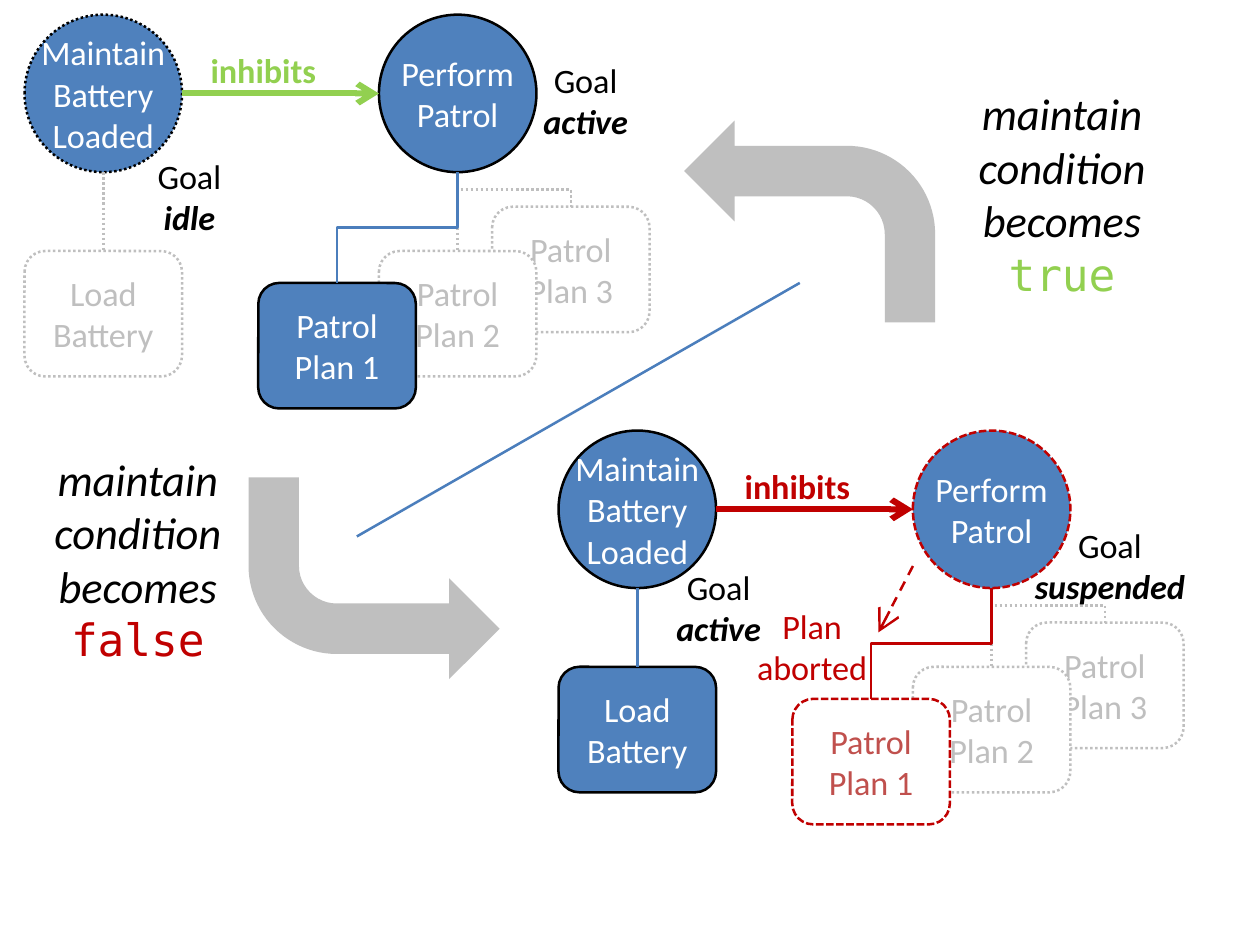
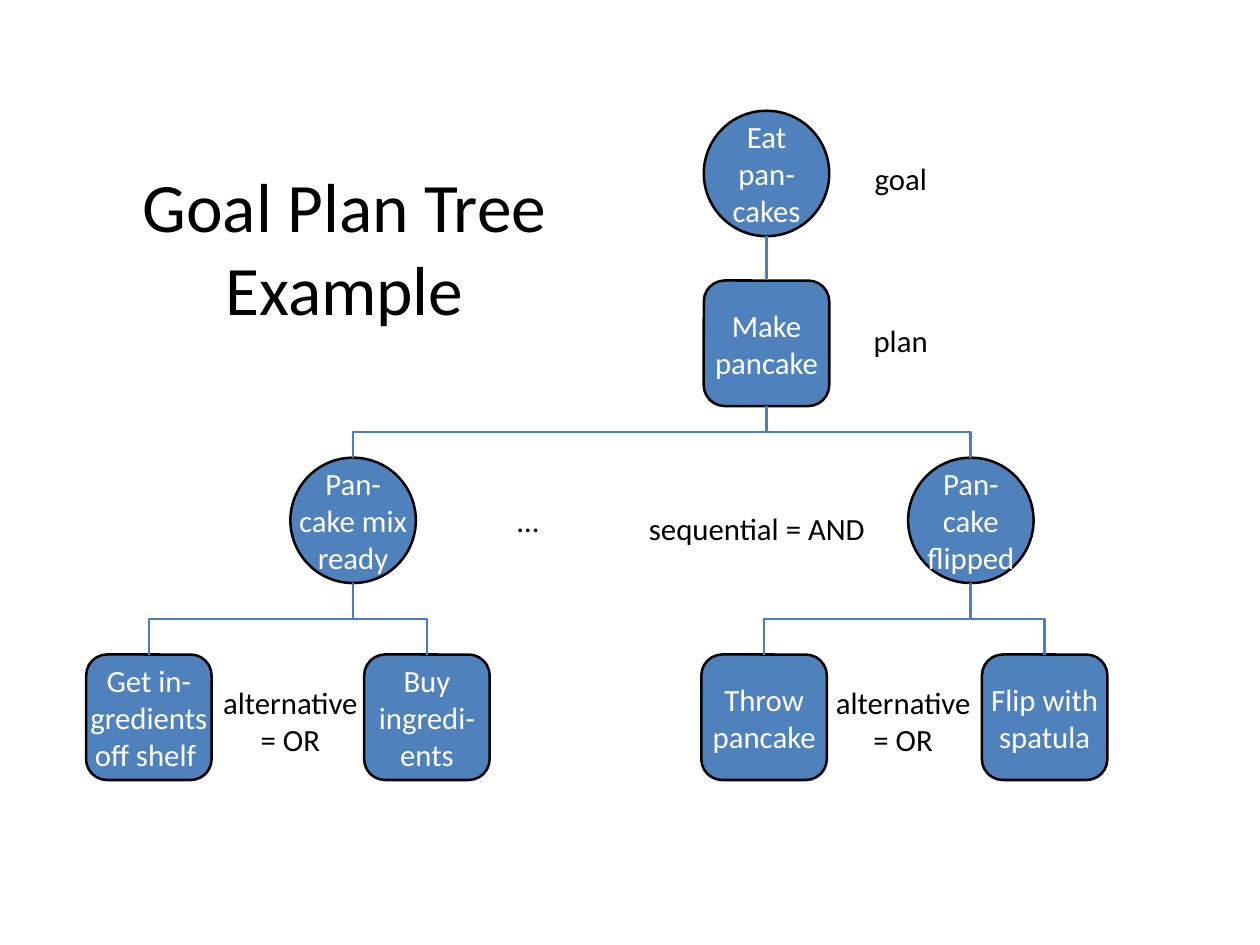
from collections import namedtuple

from lxml.etree import SubElement
from pptx import Presentation
from pptx.dml.color import RGBColor
from pptx.enum.dml import MSO_LINE
from pptx.enum.shapes import MSO_CONNECTOR, MSO_SHAPE
from pptx.enum.text import MSO_ANCHOR, PP_ALIGN
from pptx.oxml.ns import qn
from pptx.util import Emu, Inches, Pt

BLUE = RGBColor(0x4F, 0x81, 0xBD)
LINK_BLUE = RGBColor(0x4B, 0x7E, 0xBC)
RED = RGBColor(0xC0, 0x00, 0x00)
SOFT_RED = RGBColor(0xC0, 0x50, 0x4D)
GREEN = RGBColor(0x92, 0xD0, 0x50)
GREY = RGBColor(0xBF, 0xBF, 0xBF)
BLACK = RGBColor(0x00, 0x00, 0x00)
WHITE = RGBColor(0xFF, 0xFF, 0xFF)

FONT = "Calibri"
MONO = "DejaVu Sans Mono"
TOP, LEFT, BOTTOM, RIGHT = range(4)

Look = namedtuple("Look", "fill line dash text")
ACTIVE = Look(BLUE, BLACK, None, WHITE)
IDLE = Look(BLUE, BLACK, MSO_LINE.ROUND_DOT, WHITE)
SUSPENDED = Look(BLUE, RED, MSO_LINE.SQUARE_DOT, WHITE)
ABORTED = Look(WHITE, RED, MSO_LINE.SQUARE_DOT, SOFT_RED)
GHOST = Look(WHITE, GREY, MSO_LINE.ROUND_DOT, GREY)


class Deck:
    """Holds the style and the current slide, and draws each kind of element."""

    def __init__(self, width, height):
        self.prs = Presentation()
        self.prs.slide_width = Inches(width)
        self.prs.slide_height = Inches(height)
        self.size = 10

    def new_slide(self, size):
        self.slide = self.prs.slides.add_slide(self.prs.slide_layouts[6])
        self.shapes = self.slide.shapes
        self.size = size

    def add_runs(self, tf, runs, size, wrap, anchor, pad=False):
        tf.word_wrap = wrap
        tf.vertical_anchor = anchor
        if not pad:
            tf.margin_left = tf.margin_right = tf.margin_top = tf.margin_bottom = 0
        p = tf.paragraphs[0]
        p.alignment = PP_ALIGN.CENTER
        for text, color, style in runs:
            for i, line in enumerate(text.split("\n")):
                if i:
                    p.add_line_break()
                if not line:
                    continue
                r = p.add_run()
                r.text = line
                r.font.size = Pt(size)
                r.font.name = MONO if "m" in style else FONT
                r.font.bold = "b" in style
                r.font.italic = "i" in style
                r.font.color.rgb = color

    def node(self, kind, x, y, w, h, text, look=ACTIVE):
        sp = self.shapes.add_shape(kind, Inches(x), Inches(y), Inches(w), Inches(h))
        sp.shadow.inherit = False
        sp.fill.solid()
        sp.fill.fore_color.rgb = look.fill
        sp.line.color.rgb = look.line
        sp.line.width = Pt(0.75)
        if look.dash:
            sp.line.dash_style = look.dash
        self.add_runs(sp.text_frame, [(text, look.text, "")], self.size,
                      "\n" not in text, MSO_ANCHOR.MIDDLE)
        return sp

    def text(self, x, y, w, h, *runs, size=None, wrap=False,
             anchor=MSO_ANCHOR.TOP, pad=False):
        tb = self.shapes.add_textbox(Inches(x), Inches(y), Inches(w), Inches(h))
        self.add_runs(tb.text_frame, runs, size or self.size, wrap, anchor, pad)

    def title(self, x, y, w, h, *runs, size, pad=False):
        self.text(x, y, w, h, *runs, size=size, wrap=True,
                  anchor=MSO_ANCHOR.MIDDLE, pad=pad)

    def state(self, x, y, w, word):
        self.text(x, y, w, 0.34, ("Goal\n", BLACK, ""), (word, BLACK, "bi"))

    def turn_arrow(self, x, y, rotation=0):
        sp = self.shapes.add_shape(MSO_SHAPE.BENT_ARROW, Inches(x), Inches(y),
                                   Inches(1.02), Inches(0.82))
        sp.shadow.inherit = False
        sp.fill.solid()
        sp.fill.fore_color.rgb = GREY
        sp.line.fill.background()
        sp.rotation = rotation
        sp.element.spPr.xfrm.set("flipV", "1")

    def stroke(self, cn, color, width=0.75, dash=None, arrow=False):
        cn.line.color.rgb = color
        cn.line.width = Pt(width)
        if dash:
            cn.line.dash_style = dash
        if arrow:
            SubElement(cn.get_or_add_ln(), qn("a:tailEnd")).set("type", "arrow")
        SubElement(cn.element.spPr, qn("a:effectLst"))

    def line(self, x1, y1, x2, y2, color, **style):
        cn = self.shapes.add_connector(MSO_CONNECTOR.STRAIGHT, Inches(x1), Inches(y1),
                                       Inches(x2), Inches(y2))
        self.stroke(cn, color, **style)

    def link(self, a, b, color=LINK_BLUE, sides=(BOTTOM, TOP), **style):
        offset = b.left + b.width // 2 - a.left - a.width // 2
        bent = sides == (BOTTOM, TOP) and abs(offset) > Inches(0.02)
        kind = MSO_CONNECTOR.ELBOW if bent else MSO_CONNECTOR.STRAIGHT
        cn = self.shapes.add_connector(kind, 0, 0, 0, 0)
        cn.begin_connect(a, sides[0])
        cn.end_connect(b, sides[1])
        ends = cn.element.nvCxnSpPr.cNvCxnSpPr
        for glue, sp, side in ((ends.stCxn, a, sides[0]), (ends.endCxn, b, sides[1])):
            if sp.auto_shape_type == MSO_SHAPE.OVAL:
                glue.idx = side * 2
        if bent:
            self.turn_down(cn)
        self.stroke(cn, color, **style)

    def turn_down(self, cn):
        x1, y1, x2, y2 = cn.begin_x, cn.begin_y, cn.end_x, cn.end_y
        w, h = abs(y2 - y1), abs(x2 - x1)
        cn.left, cn.top = Emu((x1 + x2 - w) // 2), Emu((y1 + y2 - h) // 2)
        cn.width, cn.height = Emu(w), Emu(h)
        xfrm = cn.element.spPr.xfrm
        xfrm.flipH = x2 > x1
        xfrm.flipV = False
        xfrm.rot = 270 if x2 > x1 else 90


def goal_scene(deck, x, y, maintain, perform, load, plan, inhibit, plan_link):
    def goal(dx, text, look):
        return deck.node(MSO_SHAPE.OVAL, x + dx, y, 0.64, 0.64, text, look)

    def box(dx, dy, text, look):
        return deck.node(MSO_SHAPE.ROUNDED_RECTANGLE, x + dx, y + dy, 0.64, 0.51, text, look)

    plan_3 = box(1.9, 0.78, "Patrol\nPlan 3", GHOST)
    plan_2 = box(1.44, 0.96, "Patrol\nPlan 2", GHOST)
    load_box = box(0, 0.96, "Load\nBattery", load)
    maintain_goal = goal(0, "Maintain\nBattery\nLoaded", maintain)
    perform_goal = goal(1.44, "Perform\nPatrol", perform)
    for other in (plan_2, plan_3):
        deck.link(perform_goal, other, GREY, dash=GHOST.dash)
    deck.link(maintain_goal, load_box, GREY if load is GHOST else LINK_BLUE, dash=load.dash)
    plan_1 = box(0.95, 1.09, "Patrol\nPlan 1", plan)
    deck.link(perform_goal, plan_1, plan_link)
    deck.link(maintain_goal, perform_goal, inhibit, (RIGHT, LEFT), width=1.75, arrow=True)
    deck.text(x + 0.65, y + 0.14, 0.64, 0.17, ("inhibits", inhibit, "b"))


def goal_states(deck):
    deck.new_slide(10)
    goal_scene(deck, 2.27, 1.75, ACTIVE, SUSPENDED, ACTIVE, ABORTED, RED, RED)
    goal_scene(deck, 0.1, 0.06, IDLE, ACTIVE, GHOST, ACTIVE, GREEN, LINK_BLUE)
    for x, y, w, word in ((0.5, 0.63, 0.54, "idle"), (2.06, 0.24, 0.64, "active"),
                          (2.68, 2.3, 0.48, "active"), (4.2, 2.13, 0.62, "suspended")):
        deck.state(x, y, w, word)
    deck.turn_arrow(1.01, 1.94)
    deck.turn_arrow(2.78, 0.49, 180)
    deck.text(2.98, 2.46, 0.64, 0.34, ("Plan\naborted", RED, ""))
    deck.line(3.71, 2.3, 3.57, 2.57, RED, dash=MSO_LINE.DASH, arrow=True)
    deck.line(1.45, 2.18, 3.25, 1.15, LINK_BLUE)
    condition = ("maintain condition becomes ", BLACK, "i")
    deck.title(0.11, 1.83, 0.9, 0.88, condition, ("false", RED, "m"), size=13)
    deck.title(3.82, 0.26, 0.99, 1.05, condition, ("true", GREEN, "m"), size=13)


def plan_tree(deck):
    deck.new_slide(9)
    deck.title(0.35, 0.68, 2.1, 0.64, ("Goal Plan Tree Example", BLACK, ""),
               size=20.3, pad=True)

    def goal(x, y, text):
        return deck.node(MSO_SHAPE.OVAL, x, y, 0.51, 0.51, text)

    def plan(x, y, text):
        return deck.node(MSO_SHAPE.ROUNDED_RECTANGLE, x, y, 0.51, 0.51, text)

    eat = goal(2.86, 0.45, "Eat pan-cakes")
    make = plan(2.86, 1.14, "Make pancake")
    deck.link(eat, make)
    branches = (
        (1.18, "Pan-\ncake mix\nready",
         ((0.35, "Get in-\ngredients\noff shelf "), (1.48, "Buy ingredi-ents"))),
        (3.69, "Pan-cake flipped",
         ((2.85, "Throw pancake"), (3.99, "Flip with spatula"))),
    )
    for x, text, options in branches:
        subgoal = goal(x, 1.86, text)
        deck.link(make, subgoal)
        for option_x, option in options:
            deck.link(subgoal, plan(option_x, 2.66, option))
    for x, y, w, h, text in ((3.45, 0.6, 0.42, 0.25, "goal"),
                             (3.45, 1.26, 0.42, 0.25, "plan"),
                             (2, 1.99, 0.29, 0.25, "…"),
                             (2.53, 2.02, 1.09, 0.25, "sequential = AND"),
                             (0.8, 2.73, 0.76, 0.4, "alternative\n= OR"),
                             (3.29, 2.73, 0.76, 0.4, "alternative\n= OR")):
        deck.text(x, y, w, h, (text, BLACK, ""), pad=True)


def main():
    deck = Deck(5.12, 3.84)
    goal_states(deck)
    plan_tree(deck)
    deck.prs.save("out.pptx")


if __name__ == "__main__":
    main()
